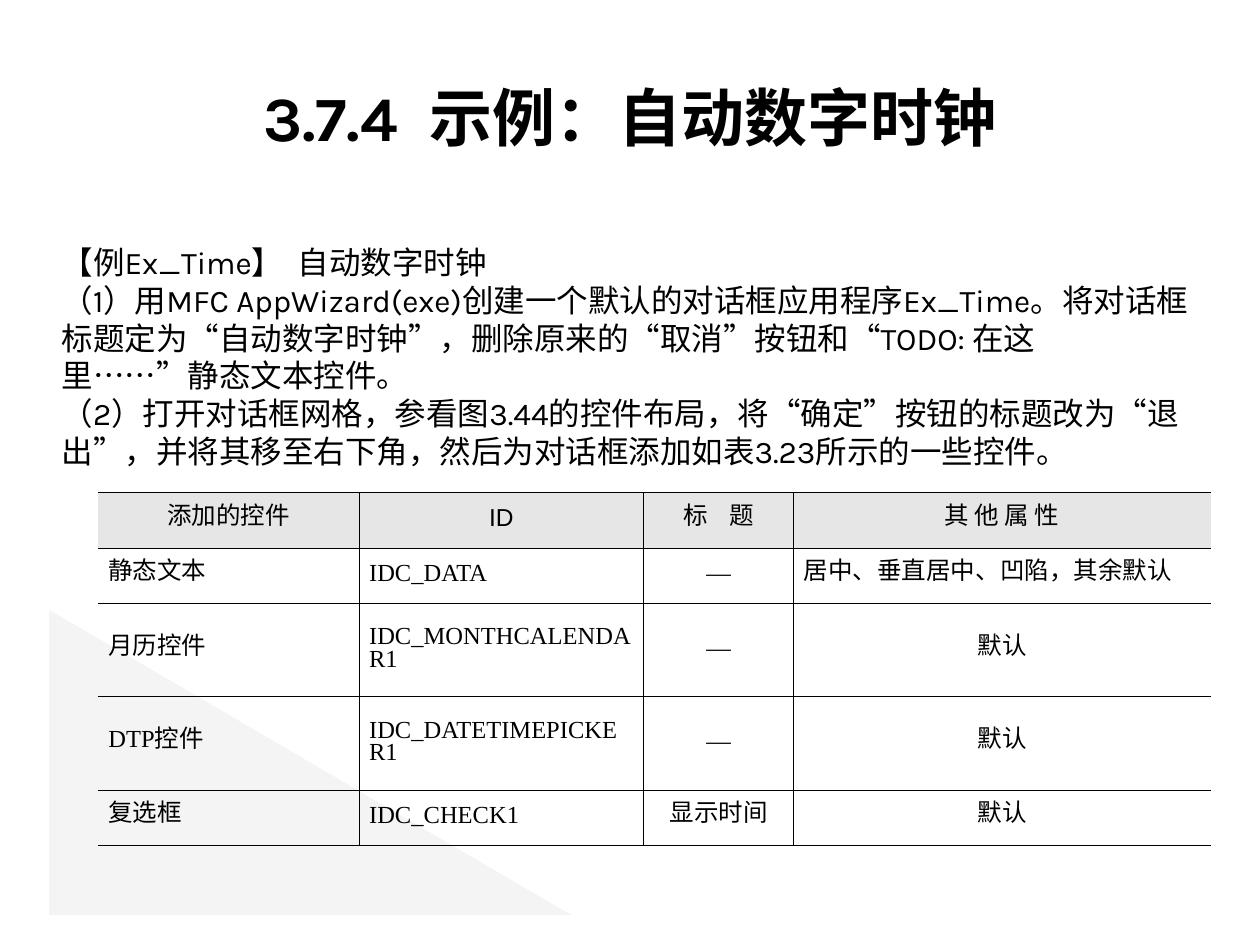
from typing import NamedTuple

from lxml import etree
from pptx import Presentation
from pptx import util as u
from pptx.dml.color import RGBColor
from pptx.enum import lang, shapes, text
from pptx.oxml.ns import qn

BLACK = "000000"
CENTER, JUSTIFY = text.PP_ALIGN.CENTER, text.PP_ALIGN.JUSTIFY


class Control(NamedTuple):
    name: str
    id: str
    caption: str
    properties: str


TITLE = "3.7.4  示例：自动数字时钟"
STEPS = [
    "【例Ex_Time】  自动数字时钟",
    "（1）用MFC AppWizard(exe)创建一个默认的对话框应用程序Ex_Time。将对话框标题定为“自动数字时钟”，"
    "删除原来的“取消”按钮和“TODO: 在这里……”静态文本控件。",
    "（2）打开对话框网格，参看图3.44的控件布局，将“确定”按钮的标题改为“退出”，"
    "并将其移至右下角，然后为对话框添加如表3.23所示的一些控件。",
]
HEADER = Control("添加的控件", "ID", "标    题", "其 他 属 性")
CONTROLS = [
    Control("静态文本", "IDC_DATA", "—", "居中、垂直居中、凹陷，其余默认"),
    Control("月历控件", "IDC_MONTHCALENDAR1", "—", "默认"),
    Control("DTP控件", "IDC_DATETIMEPICKER1", "—", "默认"),
    Control("复选框", "IDC_CHECK1", "显示时间", "默认"),
]
COLUMN_WIDTHS = [2.07, 2.26, 1.19, 3.31]
ROW_HEIGHTS = [0.44, 0.44, 0.74, 0.74, 0.44]


def color(value: str) -> RGBColor:
    return RGBColor.from_string(value)


def format_runs(para, size: float, font: str, bold: bool = False) -> None:
    for span in para.runs:
        span.font.size = u.Pt(size)
        span.font.name = font
        span.font.bold = bold
        span.font.color.rgb = color(BLACK)
        span.font.language_id = lang.MSO_LANGUAGE_ID.SIMPLIFIED_CHINESE


def set_borders(cell, hidden: set[str]) -> None:
    """Draw thin black borders on every side except the hidden ones."""
    props = cell._tc.get_or_add_tcPr()
    for index, side in enumerate(("lnL", "lnR", "lnT", "lnB")):
        line = etree.Element(qn(f"a:{side}"), w=str(u.Pt(0.45)))
        if side in hidden:
            etree.SubElement(line, qn("a:noFill"))
        else:
            fill = etree.SubElement(line, qn("a:solidFill"))
            etree.SubElement(fill, qn("a:srgbClr"), val=BLACK)
        props.insert(index, line)


def fill_cell(cell, words: str, align, font: str, fill: str | None) -> None:
    cell.vertical_anchor = text.MSO_ANCHOR.MIDDLE
    cell.margin_left = cell.margin_right = u.Inches(0.08)
    cell.margin_top = cell.margin_bottom = u.Inches(0.05)
    if fill:
        cell.fill.solid()
        cell.fill.fore_color.rgb = color(fill)
    else:
        cell.fill.background()
    para = cell.text_frame.paragraphs[0]
    para.text = words
    para.alignment = align
    para.line_spacing = u.Pt(13)
    format_runs(para, 14, font)


def add_corner(page) -> None:
    corner = page.shapes.add_shape(
        shapes.MSO_SHAPE.RIGHT_TRIANGLE,
        u.Inches(0.39), u.Inches(4.84), u.Inches(4.14), u.Inches(2.42))
    corner.shadow.inherit = False
    corner.line.fill.background()
    corner.fill.solid()
    corner.fill.fore_color.rgb = color("F2F2F2")
    tint = corner._element.spPr.find(f".//{qn('a:srgbClr')}")
    etree.SubElement(tint, qn("a:alpha"), val="83000")


def set_title(page) -> None:
    title = page.shapes.title
    title.left, title.top = u.Inches(0.5), u.Inches(0.3)
    title.width, title.height = u.Inches(9), u.Inches(1.25)
    frame = title.text_frame
    frame.text = TITLE
    frame.auto_size = text.MSO_AUTO_SIZE.NONE
    frame.vertical_anchor = text.MSO_ANCHOR.MIDDLE
    frame.paragraphs[0].alignment = CENTER
    format_runs(frame.paragraphs[0], 36, "Karla", bold=True)


def add_steps(page) -> None:
    box = page.shapes.add_textbox(
        u.Inches(0.39), u.Inches(1.88), u.Inches(9.14), u.Inches(2.2))
    frame = box.text_frame
    frame.word_wrap = True
    frame.text = "\n".join(STEPS)
    for para in frame.paragraphs:
        format_runs(para, 18, "Karla")


def add_controls(page) -> None:
    rows = [HEADER, *CONTROLS]
    table = page.shapes.add_table(
        len(rows), len(COLUMN_WIDTHS), u.Inches(0.78), u.Inches(3.91),
        u.Inches(sum(COLUMN_WIDTHS)), u.Inches(sum(ROW_HEIGHTS))).table
    table.first_row = table.horz_banding = False
    for column, width in zip(table.columns, COLUMN_WIDTHS):
        column.width = u.Inches(width)
    last = len(COLUMN_WIDTHS) - 1
    for r, (control, height) in enumerate(zip(rows, ROW_HEIGHTS)):
        table.rows[r].height = u.Inches(height)
        is_header = control is HEADER
        for c, words in enumerate(control):
            cell = table.cell(r, c)
            # Names, IDs and the one long property are justified
            justified = not is_header and (c < 2 or len(words) > 10)
            fill_cell(cell, words, JUSTIFY if justified else CENTER,
                      "Arial" if is_header else "Times New Roman",
                      "E6E6E6" if is_header else None)
            # The table is open at its left and right edges
            set_borders(cell, {"lnL"} if c == 0 else {"lnR"} if c == last else set())


def main() -> None:
    deck = Presentation()
    deck.slide_width, deck.slide_height = u.Inches(10), u.Inches(7.5)
    page = deck.slides.add_slide(deck.slide_layouts[5])
    add_corner(page)
    set_title(page)
    add_steps(page)
    add_controls(page)
    deck.save("out.pptx")


if __name__ == "__main__":
    main()
